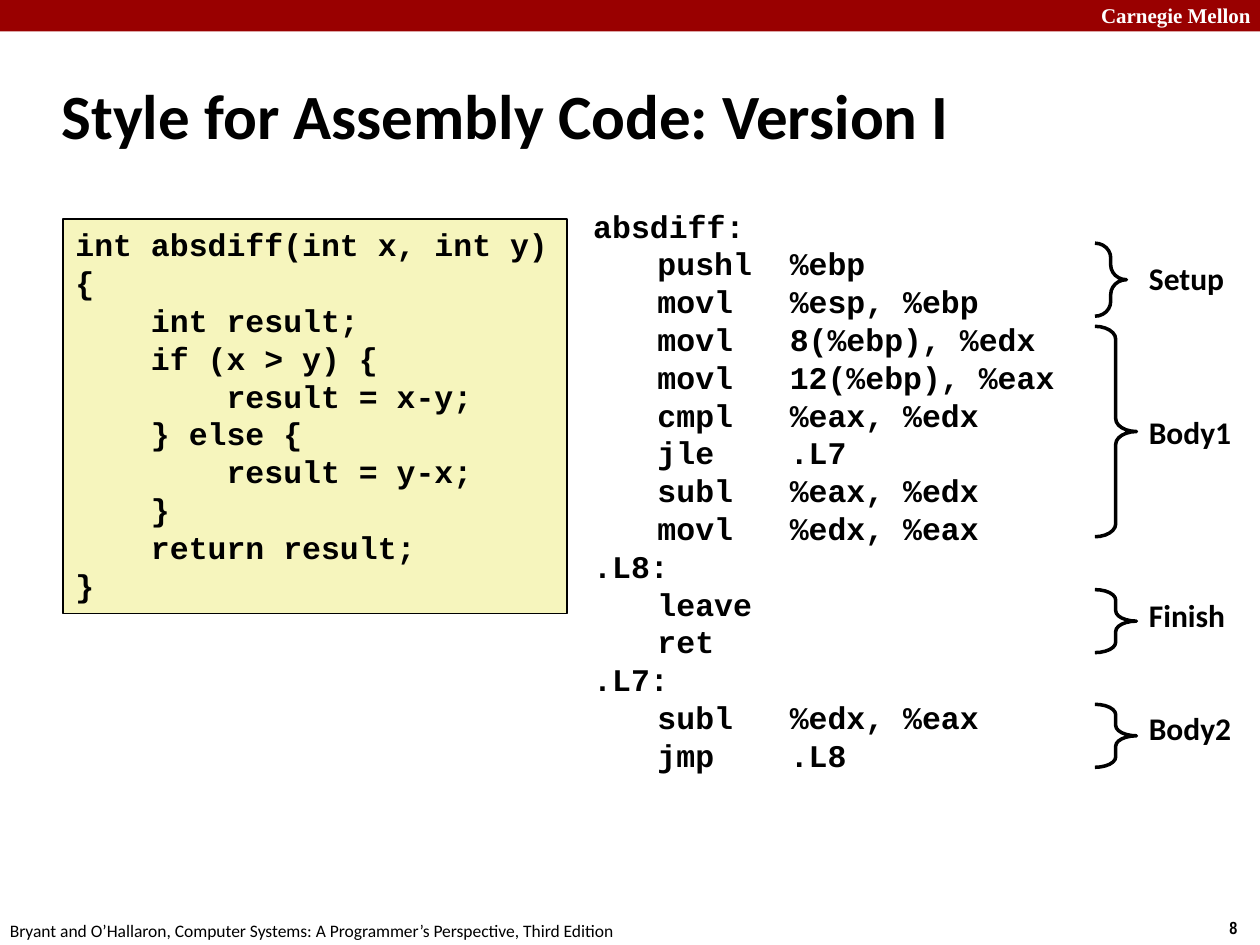
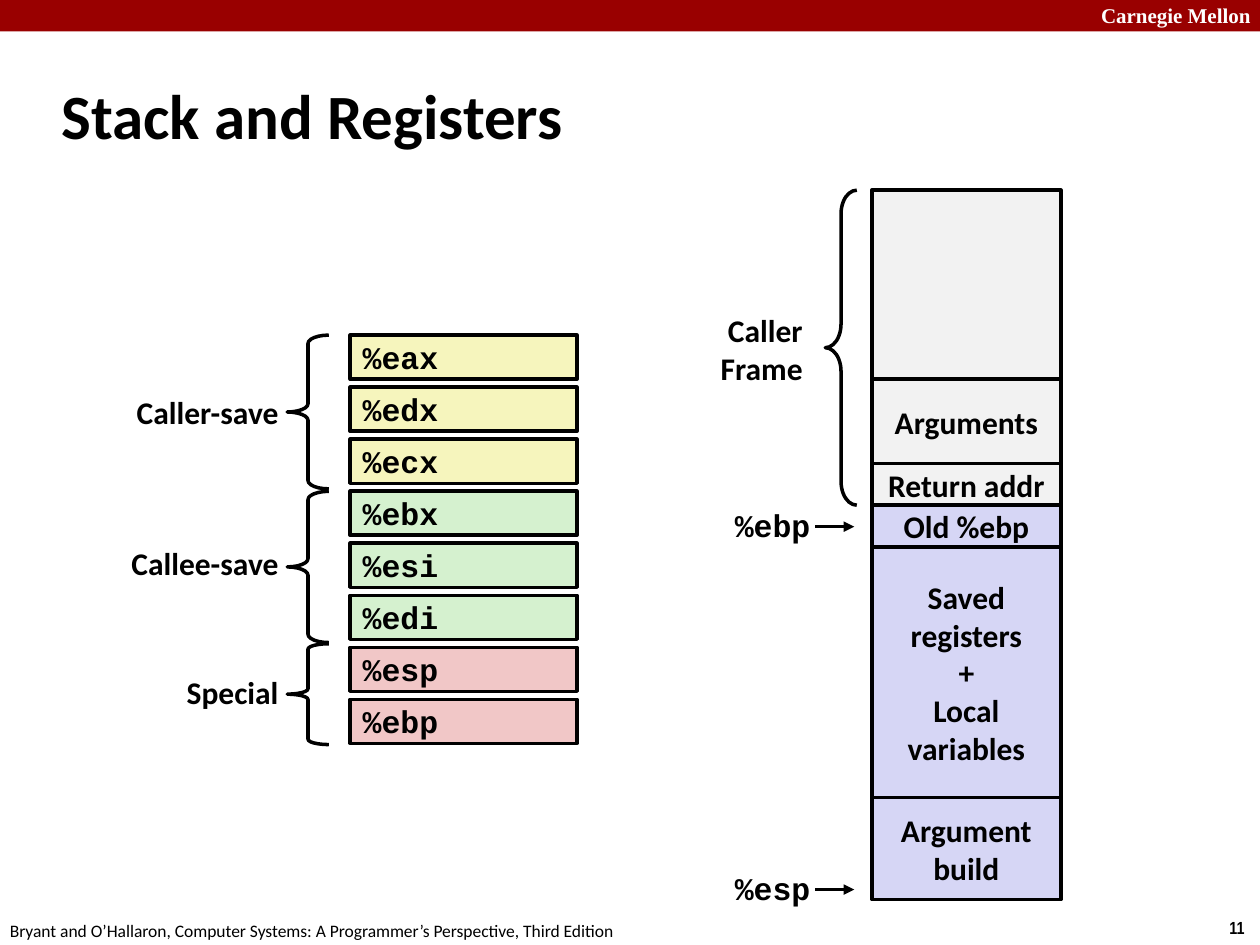
"""Build two lecture slides on assembly code style and on the stack and registers."""
import pptx
import pptx.util
import pptx.dml.color
import pptx.enum.shapes
import pptx.enum.text
import pptx.oxml
from pptx.oxml.ns import nsdecls

Inches = pptx.util.Inches
SHAPE = pptx.enum.shapes.MSO_SHAPE
ALIGN = pptx.enum.text.PP_ALIGN
ANCHOR = pptx.enum.text.MSO_ANCHOR

BLACK = "000000"
WHITE = "FFFFFF"
RED = "990000"
YELLOW = "F6F5BD"
GREEN = "D5F1CF"
PINK = "F1C7C7"
GRAY = "F2F2F2"
LILAC = "D6D6F5"
CODE = "Courier New"
FOOTER = "Bryant and O’Hallaron, Computer Systems: A Programmer’s Perspective, Third Edition"


def rgb(color):
    """Turn a hex string into a colour."""
    return pptx.dml.color.RGBColor.from_string(color)


def add(s, at, text="", shape=None, fill=None, line=None, font="Calibri", size=18, bold=True,
        color=BLACK, align=ALIGN.LEFT, anchor=ANCHOR.TOP, wrap=True, tabs=(), adj=None):
    """Add a text box, or a preset shape, with formatted text."""
    box = [Inches(v) for v in at]
    if shape is None:
        sp = s.shapes.add_textbox(*box)
    else:
        sp = s.shapes.add_shape(shape, *box)
        sp.shadow.inherit = False
        if fill:
            sp.fill.solid()
            sp.fill.fore_color.rgb = rgb(fill)
        else:
            sp.fill.background()
        if line:
            sp.line.color.rgb = rgb(BLACK)
            sp.line.width = pptx.util.Pt(line)
        else:
            sp.line.fill.background()
        if adj:
            sp.adjustments[0] = adj
    if not text:
        return
    tf = sp.text_frame
    tf.word_wrap = wrap
    tf.vertical_anchor = anchor
    tf.text = text
    for p in tf.paragraphs:
        p.alignment = align
        if tabs:
            stops = "".join(f'<a:tab pos="{Inches(t)}" algn="l"/>' for t in tabs)
            xml = f'<a:tabLst {nsdecls("a")}>{stops}</a:tabLst>'
            p._p.get_or_add_pPr().append(pptx.oxml.parse_xml(xml))
        for r in p.runs:
            r.font.name = font
            r.font.size = pptx.util.Pt(size)
            r.font.bold = bold
            r.font.color.rgb = rgb(color)


prs = pptx.Presentation()
prs.slide_width = Inches(10)
prs.slide_height = Inches(7.5)

slides = []
for title, number in [("Style for Assembly Code: Version I", "8"), ("Stack and Registers", "11")]:
    s = prs.slides.add_slide(prs.slide_layouts[6])
    add(s, (0, 0, 10, 0.25), shape=SHAPE.RECTANGLE, fill=RED)
    add(s, (8.64, -0.03, 1.43, 0.3), "Carnegie Mellon", font="Times New Roman", size=12, color=WHITE)
    add(s, (9.66, 7.23, 0.34, 0.27), number, font="Arial Narrow", size=10)
    add(s, (-0.02, 7.25, 5.08, 0.27), FOOTER, size=10, bold=False)
    add(s, (0.39, 0.49, 8.3, 0.83), title, size=36, anchor=ANCHOR.MIDDLE)
    slides.append(s)
code_slide, stack_slide = slides

c_code = """int absdiff(int x, int y)
{
    int result;
    if (x > y) {
        result = x-y;
    } else {
        result = y-x;
    }
    return result;
}"""
assembly = """absdiff:
\tpushl  %ebp
\tmovl   %esp, %ebp
\tmovl   8(%ebp), %edx
\tmovl   12(%ebp), %eax
\tcmpl   %eax, %edx
\tjle    .L7
\tsubl   %eax, %edx
\tmovl   %edx, %eax
.L8:
\tleave
\tret
.L7:
\tsubl   %edx, %eax
\tjmp    .L8"""
add(code_slide, (0.5, 1.74, 4, 3.13), c_code, shape=SHAPE.RECTANGLE, fill=YELLOW, line=1, font=CODE)
add(code_slide, (4.61, 1.59, 5.42, 4.64), assembly, font=CODE, tabs=(0.51, 1.51, 2))

sections = [
    ("Setup", 1.93, 0.25, 0.58, 0.47, 2.01, 0.8),
    ("Body1", 2.59, 0.33, 1.67, 0.31, 3.23, 0.86),
    ("Finish", 4.68, 0.33, 0.5, 0.25, 4.68, 0.81),
    ("Body2", 5.59, 0.33, 0.5, 0.25, 5.58, 0.86),
]
for name, top, width, height, curve, label_top, label_width in sections:
    add(code_slide, (8.69, top, width, height), shape=SHAPE.RIGHT_BRACE, line=2, adj=curve)
    add(code_slide, (9.02, label_top, label_width, 0.4), name, wrap=False)

top = 1.51
stack = [
    ("", 1.5, GRAY),
    ("Arguments", 0.67, GRAY),
    ("Return addr", 0.33, GRAY),
    ("Old %ebp", 0.33, LILAC),
    ("Saved\nregisters\n+\nLocal\nvariables", 1.99, LILAC),
    ("Argument\nbuild", 0.81, LILAC),
]
for text, height, fill in stack:
    add(stack_slide, (6.92, top, 1.5, height), text, shape=SHAPE.RECTANGLE, fill=fill, line=2,
        align=ALIGN.CENTER, anchor=ANCHOR.MIDDLE, wrap=False)
    top += height

add(stack_slide, (5.61, 2.42, 0.86, 0.71), "Caller\nFrame", align=ALIGN.RIGHT, wrap=False)
add(stack_slide, (6.55, 1.51, 0.25, 2.5), shape=SHAPE.LEFT_BRACE, line=2, adj=0.75)

for pointer, y in [("%ebp", 4.18), ("%esp", 7.06)]:
    add(stack_slide, (4.83, y - 0.21, 1.7, 0.4), pointer, font=CODE, align=ALIGN.RIGHT)
    arrow = stack_slide.shapes.add_connector(
        pptx.enum.shapes.MSO_CONNECTOR.STRAIGHT, Inches(6.47), Inches(y), Inches(6.78), Inches(y))
    arrow.line.color.rgb = rgb(BLACK)
    arrow.line.width = pptx.util.Pt(2)
    arrow.line._get_or_add_ln().append(
        pptx.oxml.parse_xml(f'<a:tailEnd {nsdecls("a")} type="triangle"/>'))
    arrow._element.spPr.append(pptx.oxml.parse_xml(f'<a:effectLst {nsdecls("a")}/>'))

row = 0
groups = [
    ("Caller-save", ["%eax", "%edx", "%ecx"], YELLOW, 2.66, 1.22, 0.2, 3.07, 1.34),
    ("Callee-save", ["%ebx", "%esi", "%edi"], GREEN, 3.9, 1.2, 0.2, 4.27, 1.38),
    ("Special", ["%esp", "%ebp"], PINK, 5.11, 0.8, 0.13, 5.29, 0.93),
]
for name, registers, fill, top, height, curve, label_top, label_width in groups:
    for register in registers:
        add(stack_slide, (2.78, 2.66 + row * 2.89 / 7, 1.8, 0.35), register, shape=SHAPE.RECTANGLE,
            fill=fill, line=2, font=CODE, anchor=ANCHOR.MIDDLE)
        row += 1
    add(stack_slide, (2.28, top, 0.33, height), shape=SHAPE.LEFT_BRACE, line=2, adj=curve)
    add(stack_slide, (2.31 - label_width, label_top, label_width, 0.4), name,
        align=ALIGN.RIGHT, wrap=False)

prs.save("out.pptx")
